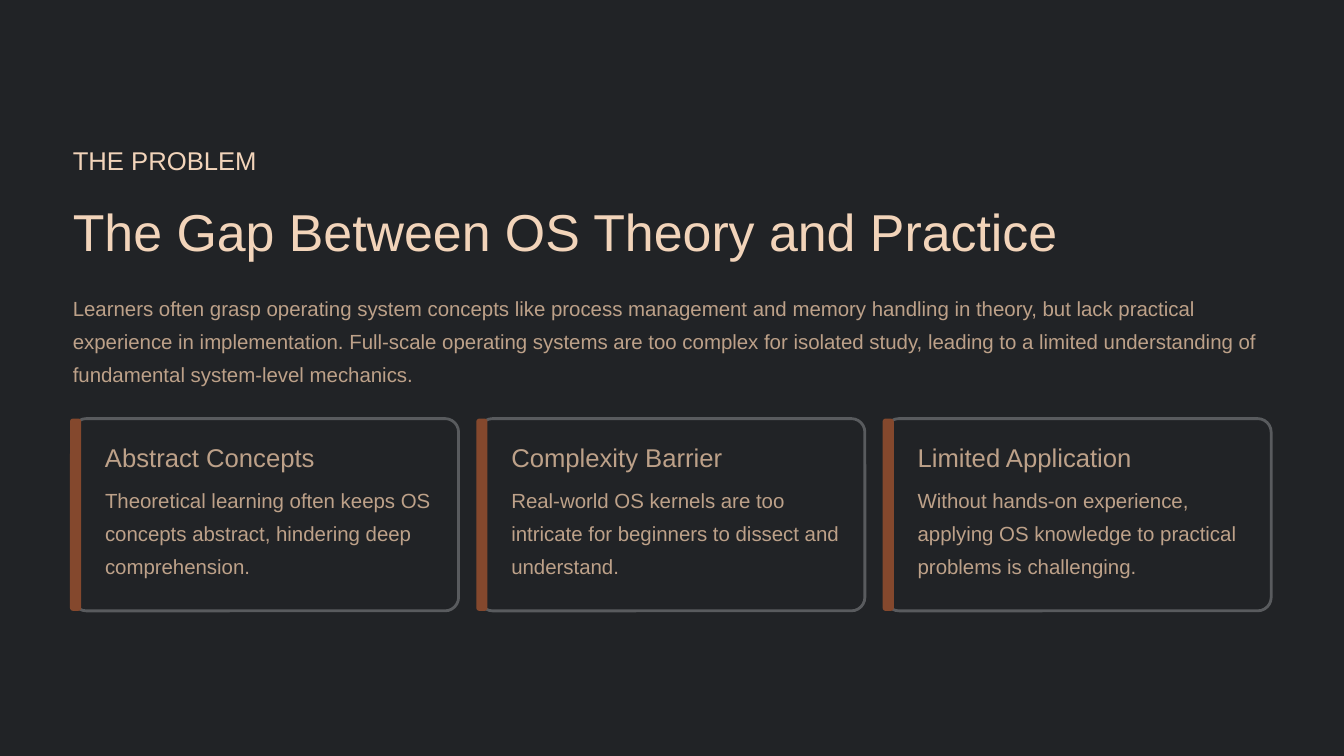
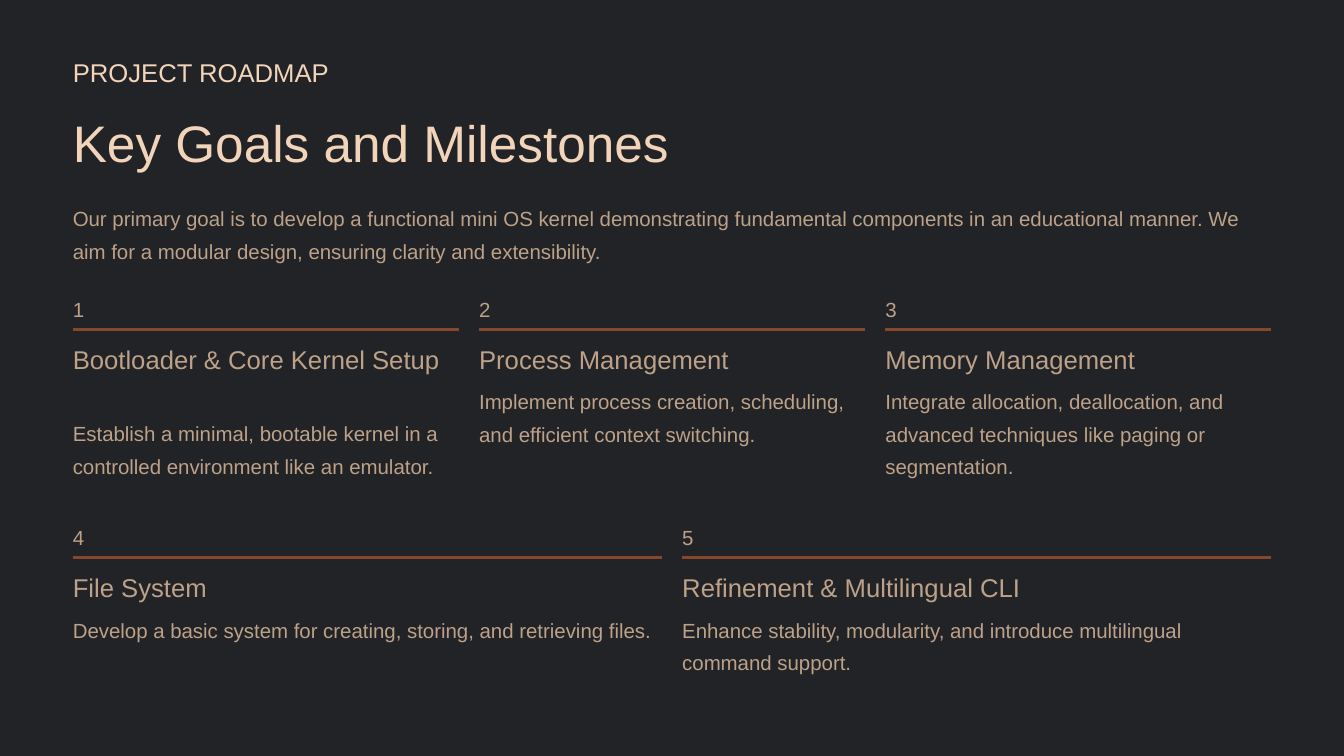
"""Build two dark slides on the gap in OS learning and the project roadmap."""
from lxml import etree
from pptx import Presentation
from pptx.dml.color import RGBColor
from pptx.enum.shapes import MSO_CONNECTOR, MSO_SHAPE
from pptx.enum.text import MSO_ANCHOR, MSO_AUTO_SIZE, PP_ALIGN
from pptx.oxml.ns import qn
from pptx.util import Pt

ROUND = MSO_SHAPE.ROUNDED_RECTANGLE
BLOCK = MSO_SHAPE.RECTANGLE
LINE = MSO_CONNECTOR.STRAIGHT
TOP = MSO_ANCHOR.TOP
GROW = MSO_AUTO_SIZE.SHAPE_TO_FIT_TEXT
LEFT_SIDE = PP_ALIGN.LEFT

FONT = "Arial"
DARK, CREAM, TAN, RUST, GREY = "212326", "F2D4BA", "BDA189", "84482D", "595B5E"
LEFT, WIDE, GAP = 78, 1284, 22
BODY, HEAD = 21.84, 27.5


def hue(code):
    """Turn a hex string into a colour."""
    return RGBColor.from_string(code)


def write(box, words, place, size, lead, code):
    """Place a text shape and fill it with one styled run."""
    box.left, box.top, box.width, box.height = [Pt(n) for n in place]
    frame = box.text_frame
    frame.word_wrap = True
    frame.auto_size = GROW
    frame.vertical_anchor = TOP
    frame.margin_left = frame.margin_right = 0
    frame.margin_top = frame.margin_bottom = 0
    para = frame.paragraphs[0]
    para.alignment = LEFT_SIDE
    para.line_spacing = Pt(lead)
    para.space_before = Pt(0)
    run = para.add_run()
    run.text = words
    run.font.name = FONT
    run.font.size = Pt(size)
    run.font.color.rgb = hue(code)


deck = Presentation()
deck.slide_width, deck.slide_height = Pt(1440), Pt(810)

heads = [
    ("THE PROBLEM", "The Gap Between OS Theory and Practice",
     "Learners often grasp operating system concepts like process management and "
     "memory handling in theory, but lack practical experience in implementation. "
     "Full-scale operating systems are too complex for isolated study, leading to "
     "a limited understanding of fundamental system-level mechanics.",
     (154, 211, 307.5), 1138, 115, 55.6, 69.4, 35.6),
    ("PROJECT ROADMAP", "Key Goals and Milestones",
     "Our primary goal is to develop a functional mini OS kernel demonstrating "
     "fundamental components in an educational manner. We aim for a modular "
     "design, ensuring clarity and extensibility.",
     (60, 115.8, 212.2), 682, 79, 55, 68.8, 35),
]
slides = []
for label, title, intro, tops, span, tall, big, step, lead in heads:
    slide = deck.slides.add_slide(deck.slide_layouts[5])
    panel = slide.shapes.add_shape(BLOCK, 0, 0, deck.slide_width, deck.slide_height)
    panel.shadow.inherit = False
    panel.fill.solid()
    panel.fill.fore_color.rgb = hue(DARK)
    panel.line.fill.background()
    slide.shapes.title._element.addprevious(panel._element)
    tag = slide.shapes.add_textbox(0, 0, 0, 0)
    write(tag, label, (LEFT, tops[0], 290, 36), HEAD, 34.4, CREAM)
    write(slide.shapes.title, title, (LEFT, tops[1], span, 71), big, step, CREAM)
    note = slide.shapes.add_textbox(0, 0, 0, 0)
    write(note, intro, (LEFT, tops[2], WIDE, tall), BODY, lead, TAN)
    slides.append(slide)
gap, plan = [slide.shapes for slide in slides]

cards = [
    ("Abstract Concepts",
     "Theoretical learning often keeps OS concepts abstract, hindering deep comprehension."),
    ("Complexity Barrier",
     "Real-world OS kernels are too intricate for beginners to dissect and understand."),
    ("Limited Application",
     "Without hands-on experience, applying OS knowledge to practical problems is challenging."),
]
card_w = (WIDE - 2 * GAP) / 3
card_y, card_h = 448.5, 206
for i, (name, words) in enumerate(cards):
    x = LEFT + i * (card_w + GAP)
    for left, width, curve, fill, edge in (
            (x, card_w, 14.5, DARK, GREY), (x - 3, 12, 3.2, RUST, None)):
        box = gap.add_shape(ROUND, Pt(left), Pt(card_y), Pt(width), Pt(card_h))
        box.shadow.inherit = False
        box.adjustments[0] = curve / min(width, card_h)
        box.fill.solid()
        box.fill.fore_color.rgb = hue(fill)
        if edge:
            box.line.color.rgb = hue(edge)
            box.line.width = Pt(3)
        else:
            box.line.fill.background()
    write(gap.add_textbox(0, 0, 0, 0), name,
          (x + 34.5, card_y + 24, 280, 37), HEAD, 34.4, TAN)
    write(gap.add_textbox(0, 0, 0, 0), words,
          (x + 34.5, card_y + 65, 353.5, 115), BODY, 35.6, TAN)

rows = [
    (309.2, [
        ("Bootloader & Core Kernel Setup", 70.5, 79,
         "Establish a minimal, bootable kernel in a controlled environment like an emulator."),
        ("Process Management", 36, 114.5,
         "Implement process creation, scheduling, and efficient context switching."),
        ("Memory Management", 36, 114.5,
         "Integrate allocation, deallocation, and advanced techniques like paging or segmentation."),
    ]),
    (554, [
        ("File System", 36, 79,
         "Develop a basic system for creating, storing, and retrieving files."),
        ("Refinement & Multilingual CLI", 36, 79,
         "Enhance stability, modularity, and introduce multilingual command support."),
    ]),
]
count = 0
for y, goals in rows:
    goal_w = (WIDE - GAP * (len(goals) - 1)) / len(goals)
    for i, (name, name_h, word_h, words) in enumerate(goals):
        count += 1
        x = LEFT + i * (goal_w + GAP)
        write(plan.add_textbox(0, 0, 0, 0), str(count), (x, y, 22, 33), BODY, 35, TAN)
        rule = plan.add_connector(LINE, Pt(x), Pt(y + 43.6), Pt(x + goal_w), Pt(y + 43.6))
        rule.line.color.rgb = hue(RUST)
        rule.line.width = Pt(3)
        etree.SubElement(rule._element.spPr, qn("a:effectLst"))
        write(plan.add_textbox(0, 0, 0, 0), name,
              (x, y + 57.5, goal_w, name_h), HEAD, 34.4, TAN)
        write(plan.add_textbox(0, 0, 0, 0), words,
              (x, y + 63 + name_h, goal_w, word_h), BODY, 35, TAN)

deck.save("out.pptx")
